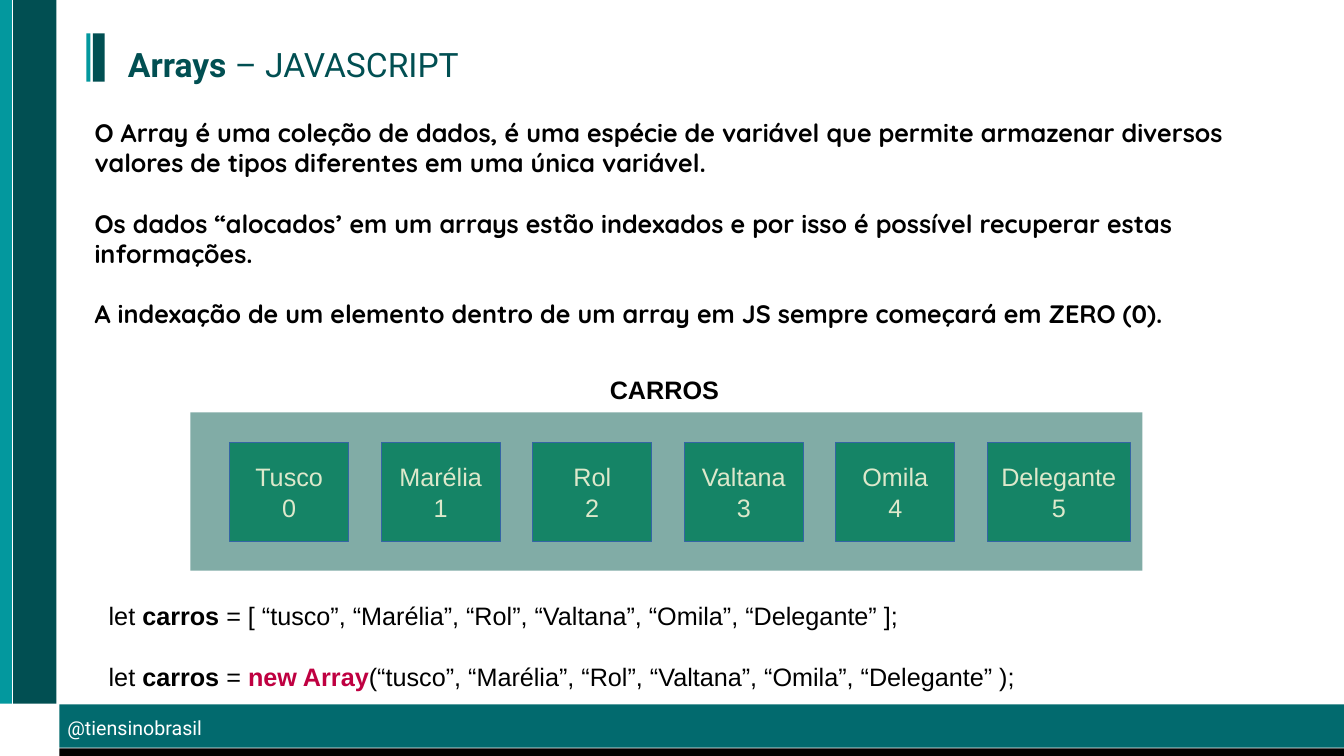
from pptx import Presentation
from pptx.dml.color import RGBColor
from pptx.enum.shapes import MSO_SHAPE as Shape
from pptx.enum.text import MSO_ANCHOR as Anchor, MSO_AUTO_SIZE as AutoSize, PP_ALIGN as Align
from pptx.util import Cm, Pt
from lxml import etree

WHITE = RGBColor(0xFF, 0xFF, 0xFF)
BLACK = RGBColor(0x00, 0x00, 0x00)
CYAN = RGBColor(0x03, 0x98, 0x9E)
DARK_TEAL = RGBColor(0x01, 0x4F, 0x52)
TEAL = RGBColor(0x02, 0x6A, 0x6E)
SAGE = RGBColor(0x81, 0xAC, 0xA6)
GREEN = RGBColor(0x15, 0x84, 0x66)
BLUE = RGBColor(0x34, 0x65, 0xA4)
PALE_GREEN = RGBColor(0xDD, 0xE8, 0xCB)
CRIMSON = RGBColor(0xBF, 0x00, 0x41)

deck = Presentation()
deck.slide_width, deck.slide_height = Cm(33.88), Cm(19.05)
slide = deck.slides.add_slide(deck.slide_layouts[1])
title, body = slide.placeholders


def add_rect(left, top, width, height, color):
    rect = slide.shapes.add_shape(Shape.RECTANGLE, Cm(left), Cm(top), Cm(width), Cm(height))
    rect.shadow.inherit = False
    rect.fill.solid()
    rect.fill.fore_color.rgb = color
    rect.line.fill.background()
    return rect


def style(para, font, size, color, bold=False, align=Align.LEFT):
    para.font.name, para.font.size, para.font.bold = font, Pt(size), bold
    para.font.color.rgb = color
    para.alignment = align


# Side bars, title marker and footer bars
for bar in [
    (0, 0, 0.3, 17.73, CYAN),
    (0.33, 0, 1.09, 17.73, DARK_TEAL),
    (2.18, 0.84, 0.1, 1.22, CYAN),
    (2.34, 0.84, 0.3, 1.22, DARK_TEAL),
    (1.5, 17.75, 32.38, 1.09, TEAL),
    (1.5, 18.86, 32.38, 0.19, BLACK),
]:
    add_rect(*bar)

# Title and explanation
for holder, left, top, width, height in [
    (title, 2.97, 1.09, 29.4, 1.22),
    (body, 2.13, 2.82, 30.2, 5.59),
]:
    holder.left, holder.top = Cm(left), Cm(top)
    holder.width, holder.height = Cm(width), Cm(height)
    holder.text_frame.auto_size = AutoSize.NONE
    holder.text_frame.vertical_anchor = Anchor.TOP

heading = title.text_frame.paragraphs[0]
style(heading, "Roboto", 24, DARK_TEAL)
heading.line_spacing = 0.9
span = heading.add_run()
span.text, span.font.bold = "Arrays ", True
heading.add_run().text = "– JAVASCRIPT"

body.text_frame.text = "\n".join([
    "O Array é uma coleção de dados, é uma espécie de variável que permite armazenar "
    "diversos valores de tipos diferentes em uma única variável.",
    "Os dados “alocados’ em um arrays estão indexados e por isso é possível recuperar "
    "estas informações.",
    "A indexação de um elemento dentro de um array em JS sempre começará em ZERO (0).",
])
for para in body.text_frame.paragraphs:
    style(para, "Quicksand", 18, BLACK, bold=True)
    para.space_before, para.space_after = Pt(0), Pt(21.7)
    properties = para._p.get_or_add_pPr()
    properties.set("marL", "0")
    properties.set("indent", "0")
    etree.SubElement(properties, "{http://schemas.openxmlformats.org/drawingml/2006/main}buNone")
    # Bullet settings come before the default run properties
    properties.insert(properties.index(properties.defRPr) if hasattr(properties, "defRPr")
                      and properties.defRPr is not None else len(properties), properties[-1])

# Array diagram
cars = ["Tusco", "Marélia", "Rol", "Valtana", "Omila", "Delegante"]
add_rect(4.8, 10.39, 24, 3.99, SAGE)
for index, car in enumerate(cars):
    width = 3.6 if car == cars[-1] else 3
    cell = add_rect(5.79 + 3.82 * index, 11.15, width, 2.49, GREEN)
    cell.line.color.rgb, cell.line.width = BLUE, Pt(0)
    cell.text_frame.vertical_anchor = Anchor.MIDDLE
    cell.text_frame.text = f"{car}\n{index}"
    for para in cell.text_frame.paragraphs:
        style(para, "Arial", 18, PALE_GREEN, align=Align.CENTER)

# Labels
for text, left, top, width, height, look in [
    ("CARROS", 14, 9.32, 5.5, 0.97, ("Arial", 18, BLACK, True, Align.CENTER)),
    ("@tiensinobrasil", 1.45, 17.91, 4.55, 0.84, ("Roboto", 14, WHITE)),
]:
    label = slide.shapes.add_textbox(Cm(left), Cm(top), Cm(width), Cm(height))
    label.text_frame.word_wrap = True
    label.text_frame.text = text
    style(label.text_frame.paragraphs[0], *look)

# Code lines
values = ", ".join(f"“{name}”" for name in [cars[0].lower()] + cars[1:])
code = slide.shapes.add_textbox(Cm(2.49), Cm(15.01), Cm(27.5), Cm(3.1)).text_frame
code.word_wrap = True
code_lines = [
    [("let ", None), ("carros", BLACK), (f" = [ {values} ];", None)],
    [("let ", None), ("carros", BLACK), (" = ", None), ("new Array", CRIMSON),
     (f"({values} );", None)],
]
for number, pieces in enumerate(code_lines):
    para = code.add_paragraph() if number else code.paragraphs[0]
    style(para, "Arial", 18, BLACK)
    para.space_after = Pt(21.7)
    for text, bold_color in pieces:
        span = para.add_run()
        span.text = text
        if bold_color is not None:
            span.font.bold = True
            span.font.color.rgb = bold_color

deck.save("out.pptx")
